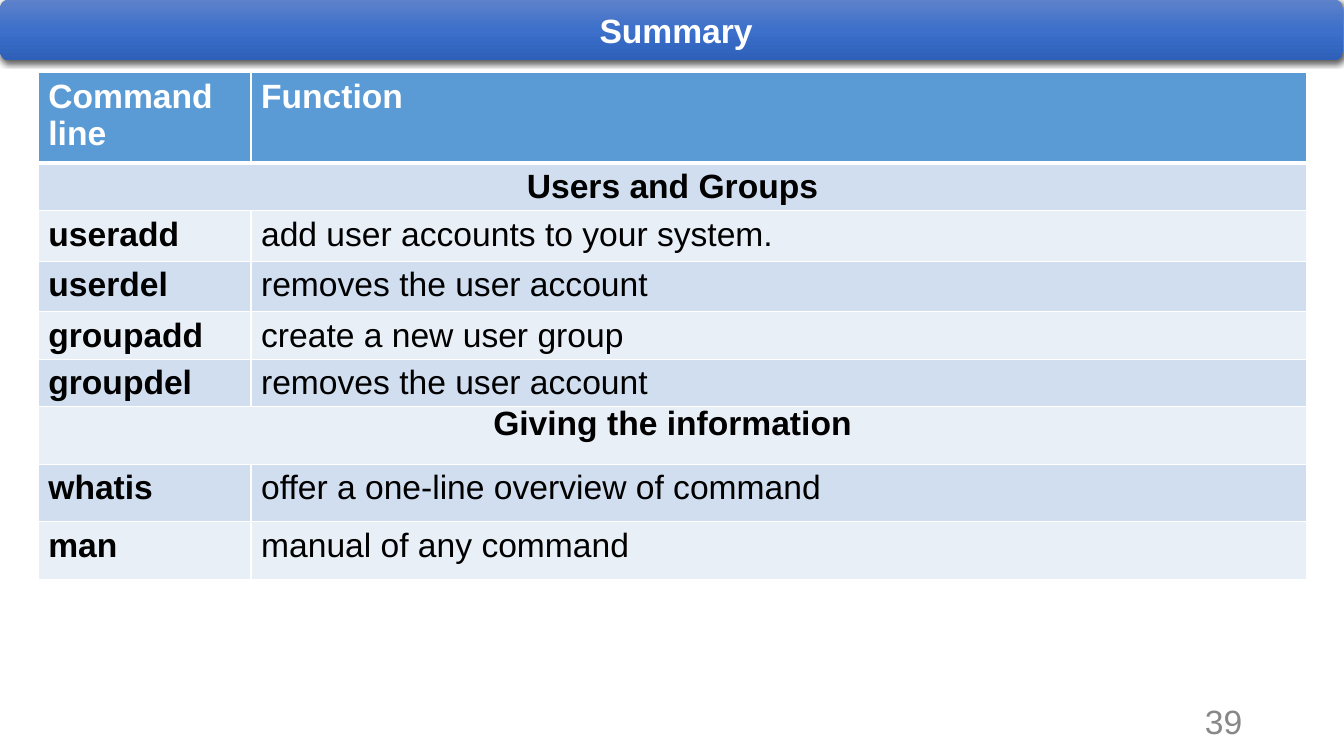
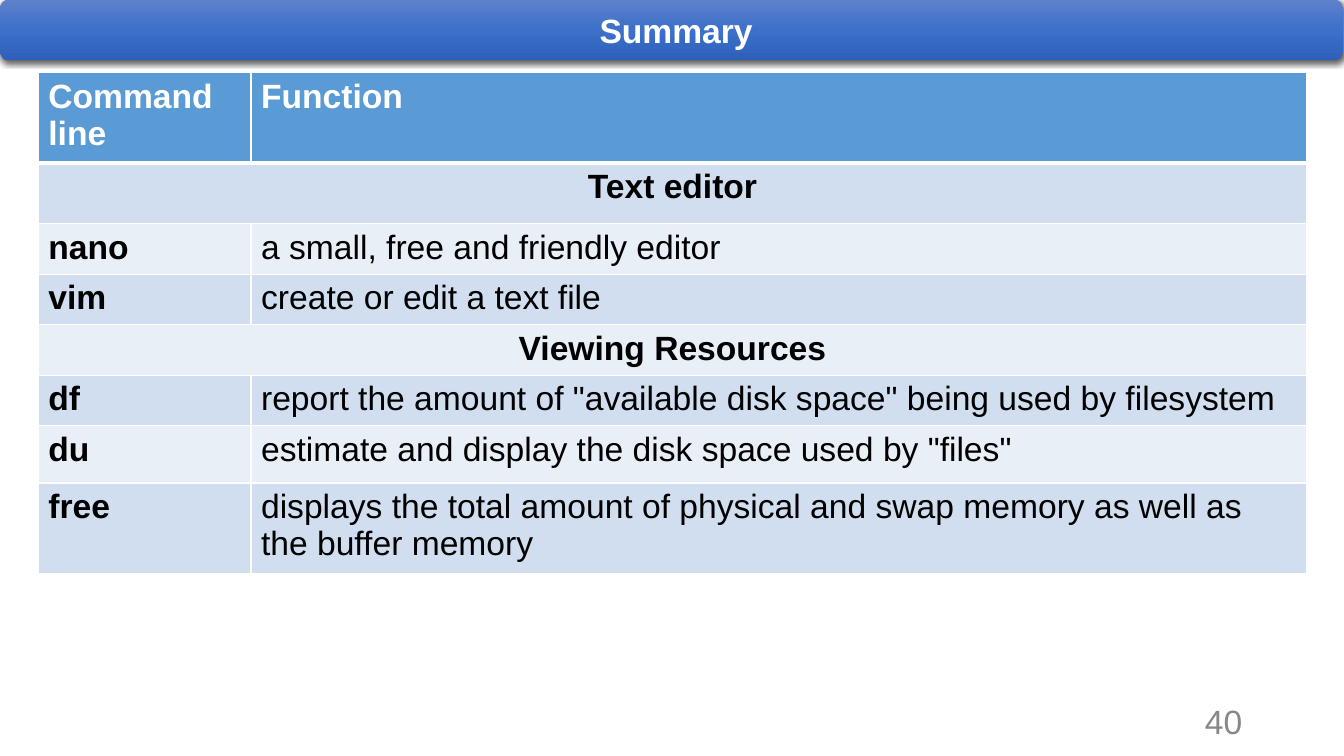
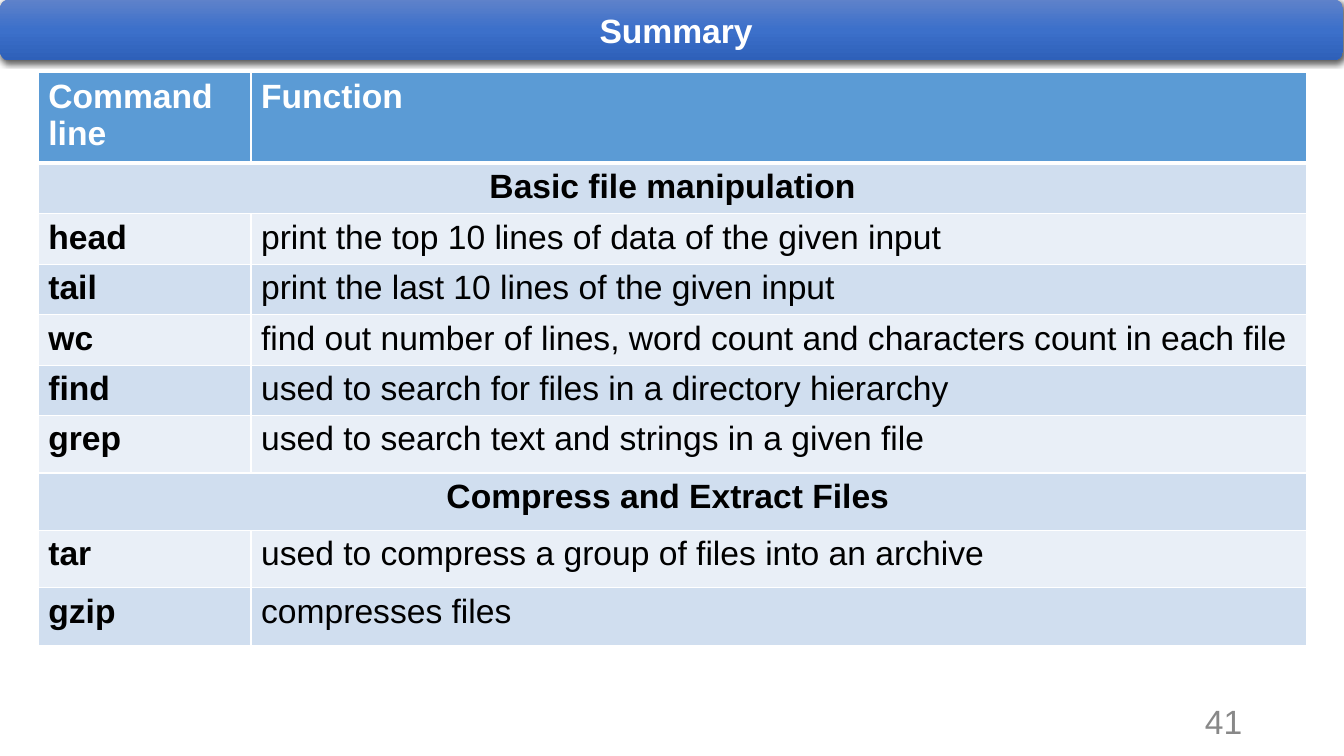
from copy import deepcopy

from lxml.etree import SubElement
from pptx import Presentation
from pptx.dml.color import RGBColor
from pptx.enum.shapes import MSO_SHAPE as Shape
from pptx.enum.text import MSO_ANCHOR as Anchor, PP_ALIGN as Align
from pptx.oxml.ns import qn
from pptx.util import Pt

PX = 9144
FONT, SIZE = "Arial", 24
WHITE, BLACK, GREY = "FFFFFF", "000000", "888888"
HEADER_FILL = "5B9BD5"
BAND_FILLS = ("E9EFF7", "D0DEEF")
TITLE_GRADIENT = ((0, "5F82CA"), (0.5, "3C70CA"), (1, "2E60B9"))
TITLE = " Summary"
TITLE_BOX = (0, -1, 1332, 61)
NUMBER_BOX = (942, 695, 300, 40)
TABLE_LEFT, TABLE_TOP = 38, 72
COLUMN_WIDTHS = (211, 1047)
HEADER_ROW = (90, "Command line", "Function")
LINE_SPACING = {"Giving the information": 0.8}
FIRST_NUMBER = 39

SUMMARIES = [
    [
        (47, "Users and Groups"),
        (50, "useradd", "add user accounts to your system."),
        (50, "userdel", "removes the user account"),
        (47, "groupadd", "create a new user group"),
        (47, "groupdel", "removes the user account"),
        (57, "Giving the information"),
        (57, "whatis", "offer a one-line overview of command"),
        (57, "man", "manual of any command"),
    ],
    [
        (60, "Text editor"),
        (50, "nano", "a small, free and friendly editor"),
        (50, "vim", "create or edit a text file"),
        (47, "Viewing Resources"),
        (47, "df", 'report the amount of "available disk space" being used by filesystem'),
        (57, "du", 'estimate and display the disk space used by "files"'),
        (57, "free", "displays the total amount of physical and swap memory as well as the buffer memory"),
    ],
    [
        (47, "Basic file manipulation"),
        (50, "head", "print the top 10 lines of data of the given input"),
        (50, "tail", "print the last 10 lines of the given input"),
        (47, "wc", "find out number of lines, word count and characters count in each file"),
        (47, "find", "used to search for files in a directory hierarchy"),
        (57, "grep", "used to search text and strings in a given file"),
        (57, "Compress and Extract Files "),
        (57, "tar", "used to compress a group of files into an archive"),
        (57, "gzip", "compresses files"),
    ],
]


def px(*lengths):
    return [length * PX for length in lengths]


def color(hex_string):
    return RGBColor.from_string(hex_string)


def write(frame, text, text_color, bold=False, align=Align.LEFT):
    frame.word_wrap = True
    paragraph = frame.paragraphs[0]
    paragraph.text = text
    paragraph.alignment = align
    font = paragraph.font
    font.name, font.size, font.bold = FONT, Pt(SIZE), bold
    font.color.rgb = color(text_color)
    return paragraph


def add_title(slide):
    band = slide.shapes.add_shape(Shape.ROUNDED_RECTANGLE, *px(*TITLE_BOX))
    band.line.fill.background()
    band.fill.gradient()
    band.fill.gradient_angle = 270
    properties = band._element.spPr
    stop_list = properties.find(".//" + qn("a:gsLst"))
    stop_list.append(deepcopy(stop_list[-1]))
    for stop, (position, stop_color) in zip(band.fill.gradient_stops, TITLE_GRADIENT):
        stop.position = position
        stop.color.rgb = color(stop_color)
    band.shadow.inherit = False
    shadow = SubElement(properties.find(qn("a:effectLst")), qn("a:outerShdw"),
                        blurRad=str(Pt(4.5)), dist=str(Pt(1.5)), dir="5400000",
                        algn="ctr", rotWithShape="0")
    shadow_color = SubElement(shadow, qn("a:srgbClr"), val=BLACK)
    SubElement(shadow_color, qn("a:alpha"), val="63000")
    band.text_frame.vertical_anchor = Anchor.MIDDLE
    write(band.text_frame, TITLE, WHITE, True, Align.CENTER)


def style_cell(cell, fill, top, bottom):
    properties = cell._tc.get_or_add_tcPr()
    for side, width in (("L", 1), ("R", 1), ("T", top), ("B", bottom)):
        line = SubElement(properties, qn("a:ln" + side), w=str(Pt(width)))
        line_fill = SubElement(line, qn("a:solidFill"))
        SubElement(line_fill, qn("a:srgbClr"), val=WHITE)
    cell.fill.solid()
    cell.fill.fore_color.rgb = color(fill)


def add_summary_table(slide, commands):
    rows = [HEADER_ROW, *commands]
    width, height = sum(COLUMN_WIDTHS), sum(row[0] for row in rows)
    table = slide.shapes.add_table(
        len(rows), len(COLUMN_WIDTHS), *px(TABLE_LEFT, TABLE_TOP, width, height)).table
    for column, column_width in zip(table.columns, COLUMN_WIDTHS):
        column.width = column_width * PX
    for index, (row_height, *texts) in enumerate(rows):
        table.rows[index].height = row_height * PX
        is_header, is_section = index == 0, len(texts) == 1
        fill = HEADER_FILL if is_header else BAND_FILLS[index % 2]
        for cell in table.rows[index].cells:
            style_cell(cell, fill, 3 if index == 1 else 1, 3 if is_header else 1)
        if is_section:
            table.cell(index, 0).merge(table.cell(index, 1))
        for column_index, text in enumerate(texts):
            paragraph = write(
                table.cell(index, column_index).text_frame, text,
                WHITE if is_header else BLACK, is_header or column_index == 0,
                Align.CENTER if is_section else Align.LEFT)
            if text in LINE_SPACING:
                paragraph.line_spacing = LINE_SPACING[text]


def add_number(slide, number):
    frame = slide.shapes.add_textbox(*px(*NUMBER_BOX)).text_frame
    frame.vertical_anchor = Anchor.MIDDLE
    write(frame, str(number), GREY, align=Align.RIGHT)


def main():
    presentation = Presentation()
    presentation.slide_width, presentation.slide_height = px(1333, 750)
    for number, commands in enumerate(SUMMARIES, FIRST_NUMBER):
        slide = presentation.slides.add_slide(presentation.slide_layouts[6])
        add_title(slide)
        add_summary_table(slide, commands)
        add_number(slide, number)
    presentation.save("out.pptx")


if __name__ == "__main__":
    main()
